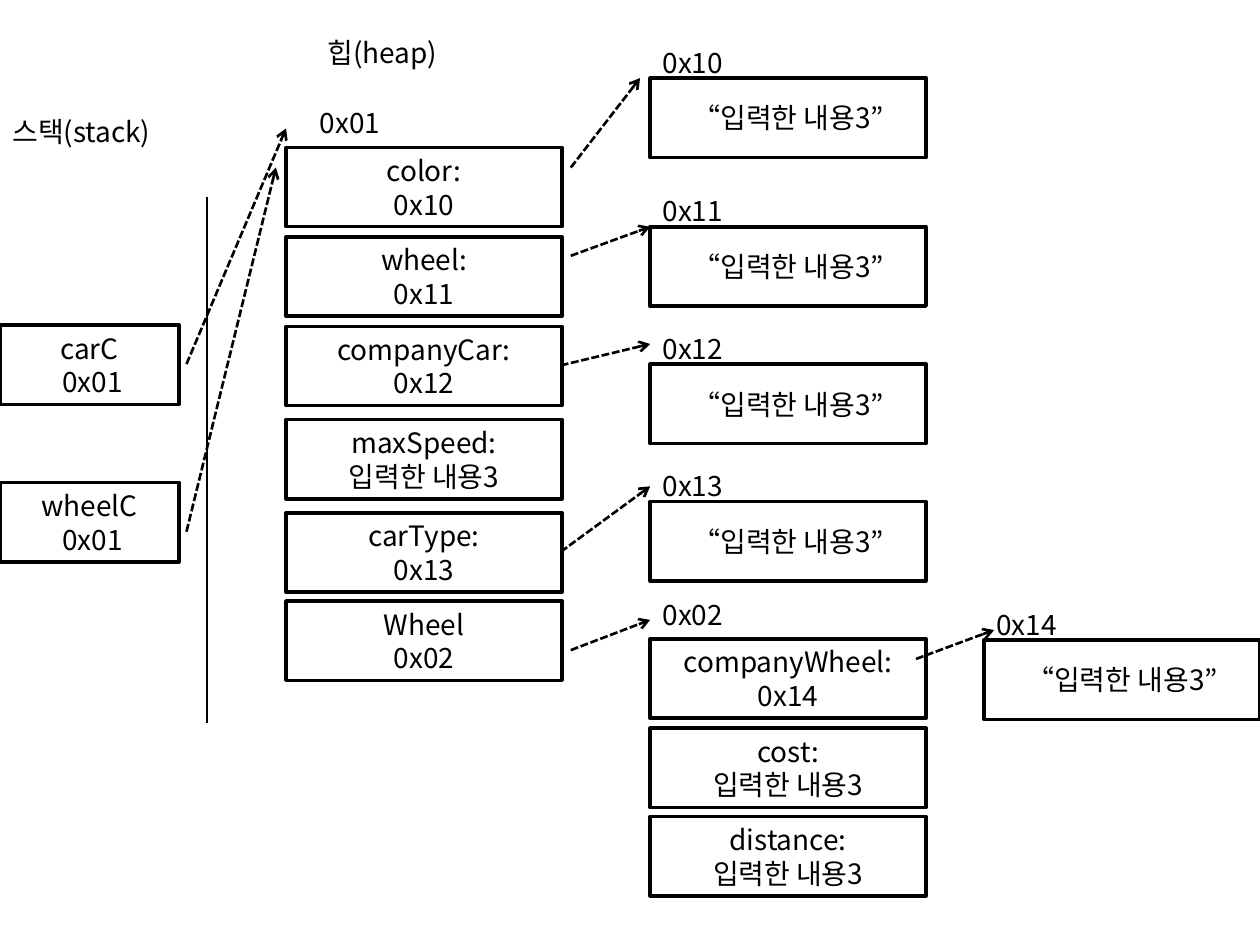
from pptx import Presentation
from pptx.dml.color import RGBColor
from pptx.enum.dml import MSO_LINE
from pptx.enum.shapes import MSO_CONNECTOR, MSO_SHAPE
from pptx.enum.text import MSO_ANCHOR, MSO_AUTO_SIZE, PP_ALIGN
from pptx.oxml.ns import qn
from pptx.util import Inches, Pt
from lxml.etree import SubElement


def color(value):
    return RGBColor.from_string(value)


class MemoryDiagram:
    font = "Noto Sans CJK KR"
    size = 16
    ink = "000000"
    paper = "FFFFFF"
    box_height = 0.63

    def __init__(self, slide):
        self.slide = slide

    def set_text(self, tf, text, align):
        tf.word_wrap = True
        tf.text = text
        for p in tf.paragraphs:
            p.alignment = align
            for r in p.runs:
                r.font.name = self.font
                r.font.size = Pt(self.size)
                r.font.color.rgb = color(self.ink)
                ea = SubElement(r.font._element, qn("a:ea"))
                ea.set("typeface", self.font)

    def label(self, x, y, text):
        sp = self.slide.shapes.add_textbox(
            Inches(x), Inches(y), Inches(1.59), Inches(0.37))
        self.set_text(sp.text_frame, text, PP_ALIGN.LEFT)
        sp.text_frame.auto_size = MSO_AUTO_SIZE.SHAPE_TO_FIT_TEXT

    def box(self, x, y, text, width=2.19):
        sp = self.slide.shapes.add_shape(
            MSO_SHAPE.RECTANGLE, Inches(x), Inches(y),
            Inches(width), Inches(self.box_height))
        sp.shadow.inherit = False
        sp.fill.solid()
        sp.fill.fore_color.rgb = color(self.paper)
        sp.line.color.rgb = color(self.ink)
        sp.line.width = Pt(2)
        self.set_text(sp.text_frame, text, PP_ALIGN.CENTER)
        sp.text_frame.vertical_anchor = MSO_ANCHOR.MIDDLE

    def line(self, x1, y1, x2, y2, width=1.25):
        cxn = self.slide.shapes.add_connector(
            MSO_CONNECTOR.STRAIGHT,
            Inches(x1), Inches(y1), Inches(x2), Inches(y2))
        cxn.line.color.rgb = color(self.ink)
        cxn.line.width = Pt(width)
        SubElement(cxn._element.spPr, qn("a:effectLst"))
        return cxn

    def arrow(self, x1, y1, x2, y2):
        cxn = self.line(x1, y1, x2, y2, 1.5)
        cxn.line.dash_style = MSO_LINE.SQUARE_DOT
        tail = SubElement(cxn._element.spPr.find(qn("a:ln")), qn("a:tailEnd"))
        tail.set("type", "arrow")


def main():
    prs = Presentation()
    prs.slide_width = Inches(10)
    prs.slide_height = Inches(7.5)
    s = prs.slides.add_slide(prs.slide_layouts[6])
    diagram = MemoryDiagram(s)
    content = "입력한 내용3"
    car_x, value_x, maker_x = 2.27, 5.16, 7.81

    diagram.line(1.64, 1.56, 1.64, 5.74)
    diagram.label(0, 0.86, "스택(stack)")
    diagram.label(2.5, 0.23, "힙(heap)")
    diagram.label(2.44, 0.79, "0x01")
    diagram.label(value_x, 4.69, "0x02")

    for y, name in ((2.58, "carC"), (3.83, "wheelC")):
        diagram.box(0, y, f"{name}\n 0x01", width=1.42)

    fields = (
        (car_x, 1.17, "color:", "0x10"),
        (car_x, 1.88, "wheel:", "0x11"),
        (car_x, 2.59, "companyCar:", "0x12"),
        (car_x, 3.33, "maxSpeed:", content),
        (car_x, 4.07, "carType:", "0x13"),
        (car_x, 4.77, "Wheel", "0x02"),
        (value_x, 5.07, "companyWheel:", "0x14"),
        (value_x, 5.78, "cost:", content),
        (value_x, 6.48, "distance:", content),
    )
    for x, y, name, value in fields:
        diagram.box(x, y, f"{name}\n{value}")

    strings = (
        (value_x, 0.62, "0x10"),
        (value_x, 1.8, "0x11"),
        (value_x, 2.89, "0x12"),
        (value_x, 3.98, "0x13"),
        (maker_x, 5.08, "0x14"),
    )
    for x, y, address in strings:
        diagram.label(x, y - 0.31, address)
        diagram.box(x, y, f"“{content}”")

    arrows = (
        (1.48, 2.89, 2.27, 1.02),
        (1.48, 4.22, 2.19, 1.33),
        (4.53, 1.33, 5.08, 0.62),
        (4.53, 2.03, 5.16, 1.8),
        (4.45, 2.9, 5.16, 2.73),
        (4.45, 4.38, 5.16, 3.86),
        (4.53, 5.16, 5.16, 4.92),
        (7.27, 5.23, 7.89, 5),
    )
    for ends in arrows:
        diagram.arrow(*ends)

    prs.save("out.pptx")


if __name__ == "__main__":
    main()
